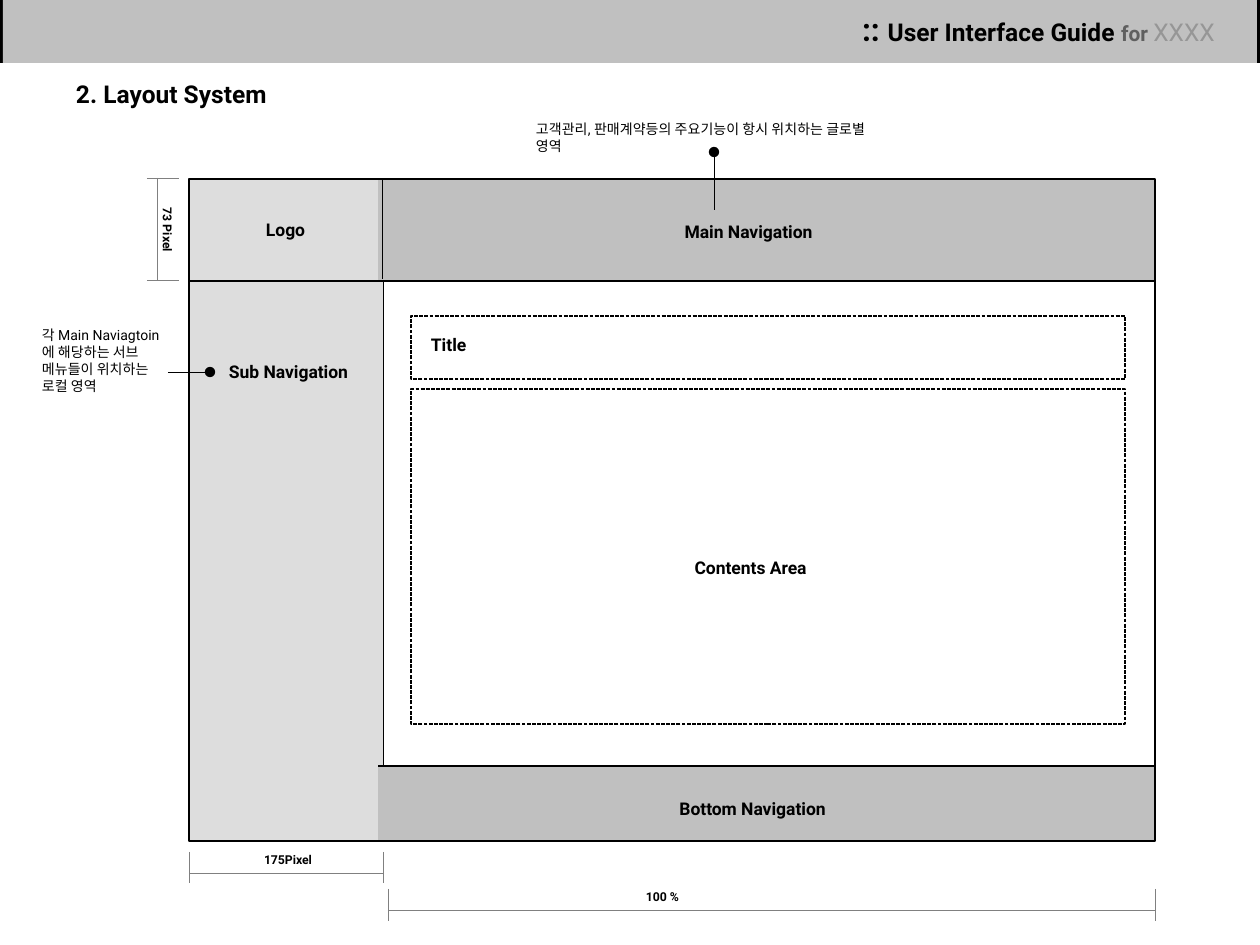
import pptx
import pptx.dml.color
import pptx.enum.dml
import pptx.enum.shapes
import pptx.enum.text
import pptx.oxml.ns
import pptx.util
from lxml import etree

EMU_PER_PX = 914400 / 126
BLACK, GRAY, SILVER, PALE = "000000", "808080", "C0C0C0", "DDDDDD"
ALIGN = pptx.enum.text.PP_ALIGN


def px(length):
    return pptx.util.Emu(round(length * EMU_PER_PX))


def color(value):
    return pptx.dml.color.RGBColor.from_string(value)


def add_element(parent, tag, **attributes):
    return etree.SubElement(parent, pptx.oxml.ns.qn(tag), **attributes)


class GuideSlide:
    """Holds the slide and the style shared by its elements."""

    font = "Roboto"

    def __init__(self, presentation):
        self.slide = presentation.slides.add_slide(presentation.slide_layouts[5])

    def set_text(self, shape, runs, align=ALIGN.LEFT, margins=(0, 0)):
        """Fill a shape with runs of (text, size, color, bold)."""
        frame = shape.text_frame
        frame.word_wrap = True
        frame.auto_size = pptx.enum.text.MSO_AUTO_SIZE.NONE
        frame.vertical_anchor = pptx.enum.text.MSO_ANCHOR.TOP
        frame.margin_left = frame.margin_right = px(margins[0])
        frame.margin_top = frame.margin_bottom = px(margins[1])
        paragraph = frame.paragraphs[0]
        paragraph.alignment = align
        for text, size, value, bold in runs:
            run = paragraph.add_run()
            run.text = text
            run.font.name = self.font
            run.font.size = pptx.util.Pt(size)
            run.font.bold = bold
            run.font.color.rgb = color(value)

    def title(self, text, left, top, width, height):
        shape = self.slide.shapes.title
        shape.left, shape.top = px(left), px(top)
        shape.width, shape.height = px(width), px(height)
        self.set_text(shape, [(text, 14, BLACK, True)], margins=(13, 6))

    def text_box(self, runs, left, top, width, height, rotation=0, **style):
        shape = self.slide.shapes.add_textbox(px(left), px(top), px(width), px(height))
        shape.rotation = rotation
        self.set_text(shape, runs, **style)

    def label(self, text, left, top, width=195, align=ALIGN.CENTER):
        self.text_box([(text, 10, BLACK, True)], left, top, width, 21, align=align)

    def note(self, text, left, top, width, height):
        self.text_box([(text, 8, BLACK, False)], left, top, width, height)

    def measure(self, text, left, top, width, rotation=0):
        self.text_box([(text, 7, BLACK, True)], left, top, width, 15, rotation)

    def box(self, left, top, width, height, fill=None, outline=None, dashed=False):
        """Draw a rectangle; outline is its line width in points."""
        shape = self.slide.shapes.add_shape(
            pptx.enum.shapes.MSO_SHAPE.RECTANGLE, px(left), px(top), px(width), px(height))
        shape.shadow.inherit = False
        if fill:
            shape.fill.solid()
            shape.fill.fore_color.rgb = color(fill)
        else:
            shape.fill.background()
        if outline:
            shape.line.color.rgb = color(BLACK)
            shape.line.width = pptx.util.Pt(outline)
        else:
            shape.line.fill.background()
        if dashed:
            shape.line.dash_style = pptx.enum.dml.MSO_LINE.SQUARE_DOT

    def line(self, start, end, width=0.75, value=BLACK, dot=False):
        connector = self.slide.shapes.add_connector(
            pptx.enum.shapes.MSO_CONNECTOR.STRAIGHT, *map(px, start + end))
        connector.line.color.rgb = color(value)
        connector.line.width = pptx.util.Pt(width)
        properties = connector._element.spPr
        if dot:
            add_element(properties.find(pptx.oxml.ns.qn("a:ln")), "a:tailEnd", type="oval")
        add_element(properties, "a:effectLst")

    def dimension(self, start, end, ticks, rule, vertical=False):
        """Draw a thin rule from start to end with a tick across each end."""
        def place(along, across):
            return (across, along) if vertical else (along, across)

        for position in (start, end):
            self.line(place(position, ticks[0]), place(position, ticks[1]), 0.5, GRAY)
        self.line(place(start, rule), place(end, rule), 0.25, GRAY)


def main():
    presentation = pptx.Presentation()
    presentation.slide_width, presentation.slide_height = px(1260), px(945)
    guide = GuideSlide(presentation)

    # Header band
    guide.box(0, 0, 1260, 63, BLACK)
    guide.box(3, 0, 1254, 63, SILVER)
    guide.text_box([(":: ", 18, BLACK, True),
                    ("User Interface Guide ", 14, BLACK, True),
                    ("for ", 12, "5F5F5F", True),
                    ("XXXX", 14, "969696", False)],
                   588, 4, 640, 50, align=ALIGN.RIGHT, margins=(13, 6))
    guide.title("2. Layout System", 63, 73, 829, 43)

    # Page frame and its areas
    left, right, top, bottom = 189, 1155, 179, 841
    split, area_left = 383, 378
    main_bottom, footer_top = 281, 766
    guide.line((split, main_bottom), (split, bottom))
    guide.box(left, top, split - left, bottom - top, PALE)
    guide.box(area_left, footer_top, right - area_left, bottom - footer_top, SILVER)
    guide.box(area_left, top, right - area_left, main_bottom - top, SILVER)
    guide.box(left, top, right - left, bottom - top, outline=1.5)
    guide.line((left, main_bottom), (right, main_bottom))
    guide.line((area_left, footer_top), (right, footer_top))
    guide.line((382, top), (382, 279), 0.5)
    for box_top, height in ((316, 63), (389, 335)):
        guide.box(411, box_top, 714, height, outline=0.75, dashed=True)

    guide.label("Logo", 220, 219, width=131)
    guide.label("Main Navigation", 651, 221)
    guide.label("Sub Navigation", 191, 361)
    guide.label("Title", 431, 334, align=ALIGN.LEFT)
    guide.label("Contents Area", 653, 557)
    guide.label("Bottom Navigation", 655, 798)

    # Callouts
    guide.note("고객관리, 판매계약등의 주요기능이 항시 위치하는 글로별 영역", 536, 121, 336, 34)
    guide.line((714, 210), (714, 152), 0.25, dot=True)
    guide.note("각 Main Naviagtoin에 해당하는 서브 메뉴들이 위치하는 로컬 영역", 42, 327, 125, 84)
    guide.line((168, 372), (210, 372), 0.25, dot=True)

    # Dimensions
    guide.dimension(178, 280, (147, 179), 157, vertical=True)
    guide.measure("73 Pixel", 127, 241, 81, rotation=90)
    guide.dimension(left, split, (852, 883), 873)
    guide.measure("175Pixel", 264, 852, 93)
    guide.dimension(388, right, (889, 921), 910)
    guide.measure("100 %", 646, 889, 78)

    presentation.save("out.pptx")


if __name__ == "__main__":
    main()
